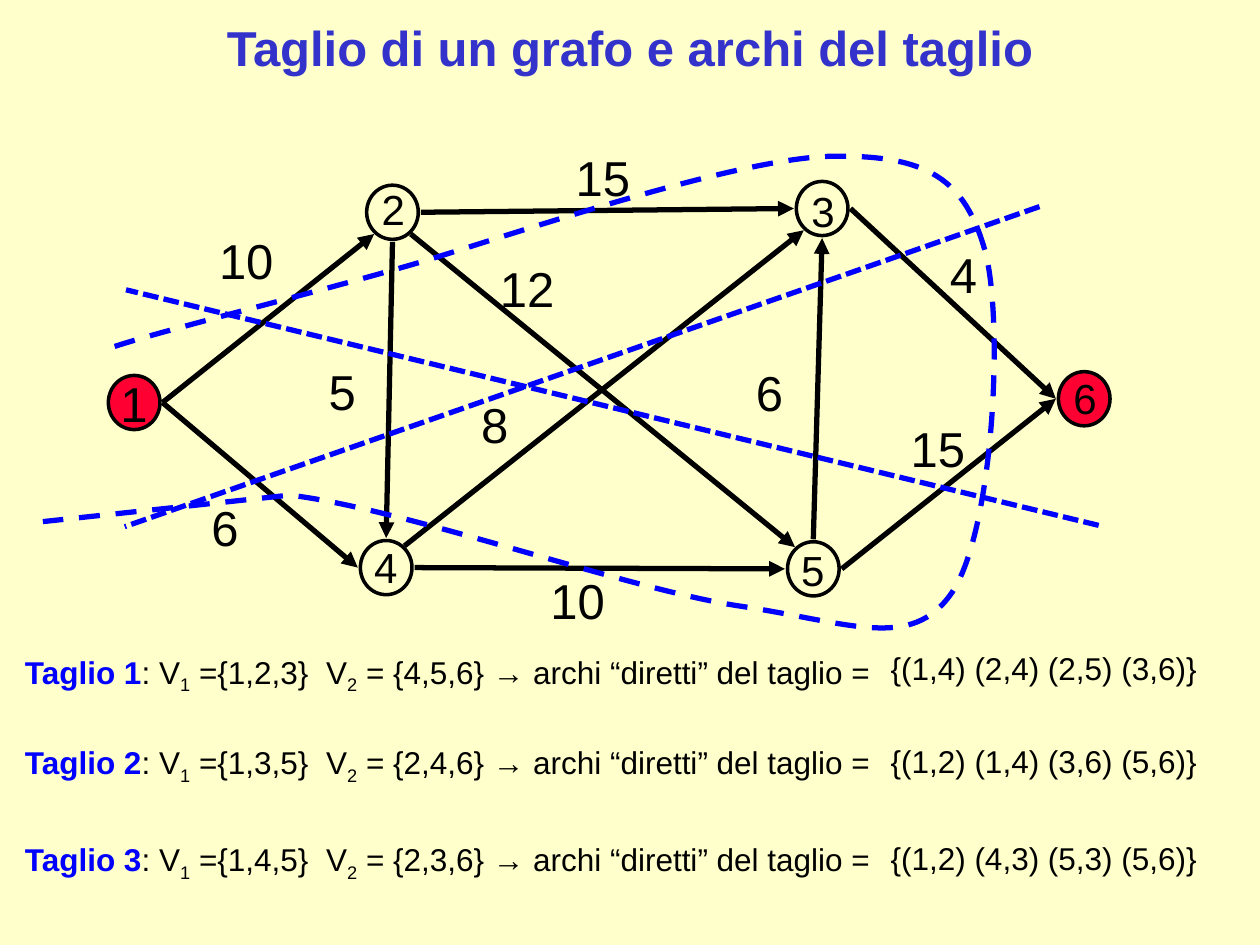
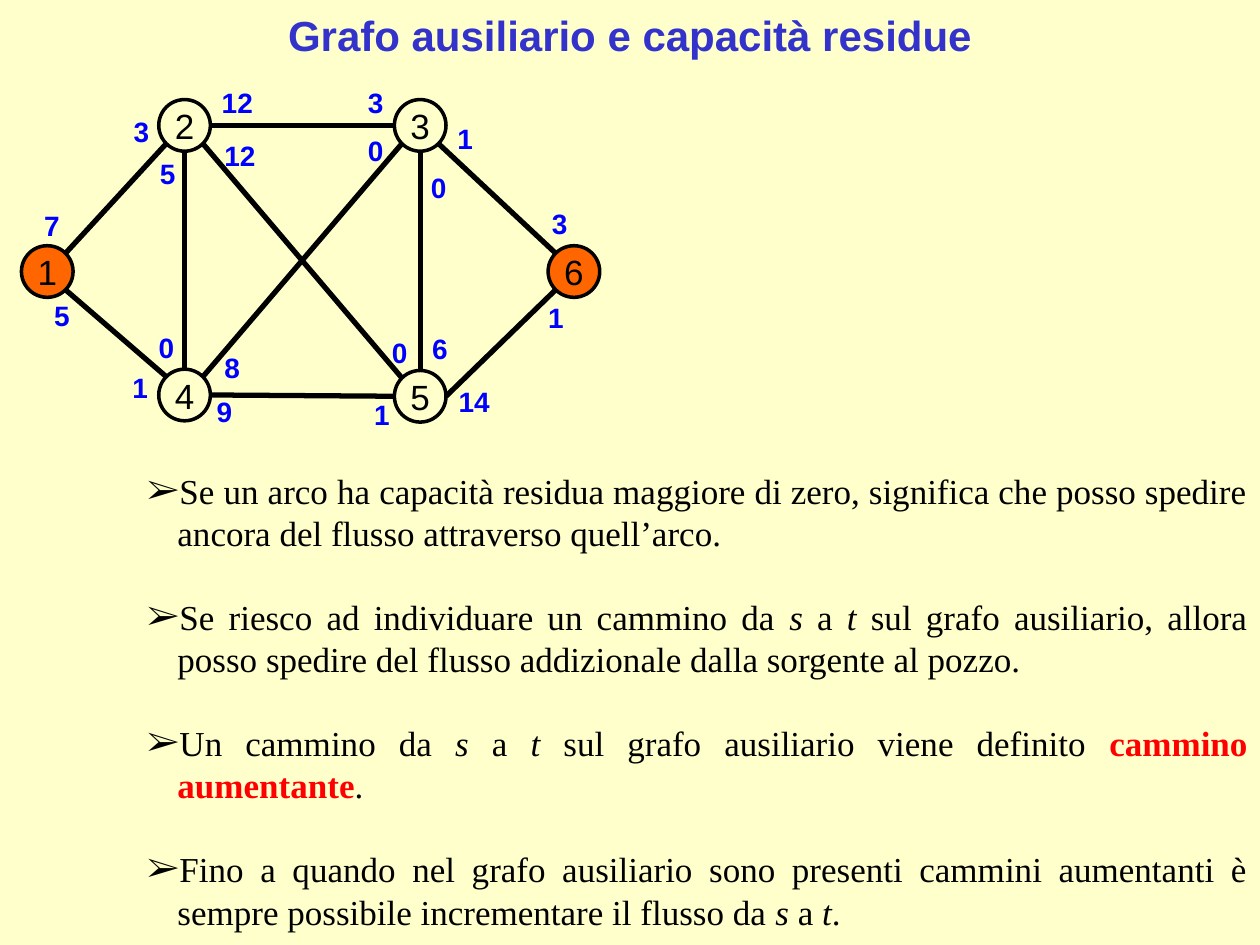
from dataclasses import dataclass
from typing import NamedTuple

from lxml import etree
from pptx import Presentation
from pptx.dml.color import RGBColor
from pptx.enum.dml import MSO_LINE
from pptx.enum.shapes import MSO_CONNECTOR, MSO_SHAPE
from pptx.enum.text import MSO_ANCHOR, PP_ALIGN
from pptx.oxml.ns import qn
from pptx.util import Inches, Pt

OVAL, STRAIGHT = MSO_SHAPE.OVAL, MSO_CONNECTOR.STRAIGHT
DASH, SHORT = MSO_LINE.DASH, MSO_LINE.SQUARE_DOT
LEFT, CENTER, JUSTIFY = PP_ALIGN.LEFT, PP_ALIGN.CENTER, PP_ALIGN.JUSTIFY
TOP, MIDDLE = MSO_ANCHOR.TOP, MSO_ANCHOR.MIDDLE

PAPER, INK, BLUE, TITLE = "FFFFCC", "000000", "0000FF", "3333CC"
CRIMSON, ORANGE, RED = "FF0033", "FF6600", "FF0000"
SANS, SERIF = "Arial", "Times New Roman"
WIDE = (0.1, 0.05)
SLIM = (0.04, 0.04)
FLAT = (0.04, 0)
# Unit direction of each compass point on a node's rim
DIAG = 0.71
RIM = {"N": (0, -1), "S": (0, 1), "E": (1, 0), "W": (-1, 0),
       "NE": (DIAG, -DIAG), "NW": (-DIAG, -DIAG),
       "SE": (DIAG, DIAG), "SW": (-DIAG, DIAG)}


class Box(NamedTuple):
    left: float
    top: float
    width: float
    height: float


class Run(NamedTuple):
    text: str
    bold: bool = False
    italic: bool = False
    color: str = ""
    base: int = 0


@dataclass
class Node:
    name: str
    box: Box
    fill: str = ""
    size: int = 20  # zero leaves the disc without text

    def port(self, side: str, gap: float) -> tuple[float, float]:
        """Point on the rim at a compass side, a gap above, below or beside."""
        x, y = RIM[side]
        left, top, width, height = self.box
        push = (y > 0) - (y < 0)
        return (left + width / 2 + x * (width / 2 + (0 if y else gap)),
                top + height / 2 + y * height / 2 + push * gap)


class Label(NamedTuple):
    text: str
    left: float
    top: float


@dataclass
class Cut:
    near: str
    far: str
    arcs: str
    top: float
    arctop: float


def paint(target, color: str) -> None:
    target.solid()
    target.fore_color.rgb = RGBColor.from_string(color)


def child(parent, tag: str, **attrs: str):
    return etree.SubElement(parent, qn(tag), attrs)


def write(frame, paras, *, size=20, font=SANS, color=INK, bold=False,
          align=LEFT, anchor=TOP, inset=WIDE, wrap=False, tab=0.0,
          bullet="", hang=(0.0, 0.0), pitch=0, before=0) -> None:
    """Fill a text frame; each paragraph is a string or a list of runs."""
    frame.word_wrap, frame.vertical_anchor = wrap, anchor
    frame.margin_left = frame.margin_right = Inches(inset[0])
    frame.margin_top = frame.margin_bottom = Inches(inset[1])
    for i, runs in enumerate([paras] if isinstance(paras, str) else paras):
        para = frame.add_paragraph() if i else frame.paragraphs[0]
        para.alignment = align
        if pitch:
            para.line_spacing = Pt(pitch)
        if before and i:
            para.space_before = Pt(before)
        props = para._p.get_or_add_pPr()
        if bullet:
            props.set("marL", str(Inches(hang[0])))
            props.set("indent", str(Inches(hang[1])))
            child(props, "a:buFont", typeface=font)
            child(props, "a:buChar", char=bullet)
        if tab:
            stops = child(props, "a:tabLst")
            child(stops, "a:tab", pos=str(Inches(tab)), algn="l")
        for item in [Run(runs)] if isinstance(runs, str) else runs:
            run = para.add_run()
            run.text = item.text
            run.font.name, run.font.size = font, Pt(size)
            run.font.bold = bold or item.bold
            run.font.italic = item.italic
            paint(run.font.fill, item.color or color)
            if item.base:
                run._r.get_or_add_rPr().set("baseline", str(item.base))


def put(slide, paras, box: Box, **form) -> None:
    area = slide.shapes.add_textbox(*map(Inches, box))
    write(area.text_frame, paras, **form)


def line(slide, start, end, color=INK, dash=None, arrow=False) -> None:
    link = slide.shapes.add_connector(STRAIGHT, *map(Inches, (*start, *end)))
    paint(link.line.fill, color)
    link.line.width = Pt(3)
    if dash:
        link.line.dash_style = dash
    if arrow:
        child(link.line._get_or_add_ln(), "a:tailEnd", type="triangle")
    child(link._element.spPr, "a:effectLst")


def graph(slide, nodes: list[Node], edges: str, gap=0.0, arrow=False) -> None:
    """Draw nodes, then edges such as '1E-2SW' between their rim points."""
    for node in nodes:
        disc = slide.shapes.add_shape(OVAL, *map(Inches, node.box))
        disc.shadow.inherit = False
        if node.fill:
            paint(disc.fill, node.fill)
        else:
            disc.fill.background()
        paint(disc.line.fill, INK)
        disc.line.width = Pt(2)
        if node.size:
            write(disc.text_frame, node.name, size=node.size, align=CENTER,
                  anchor=MIDDLE, inset=SLIM)
    named = {node.name: node for node in nodes}
    for edge in edges.split():
        ends = [named[e[0]].port(e[1:], gap) for e in edge.split("-")]
        line(slide, *ends, arrow=arrow)


def curve(slide, start, bends, last, width: float, height: float) -> None:
    """Dashed outline through cubic bends, ending with a straight run."""
    knots = [start, *(bend[-1] for bend in bends), last]
    spots = [tuple(map(Inches, knot)) for knot in knots]
    pen = slide.shapes.build_freeform(*spots[0], scale=1.0)
    pen.add_line_segments(spots[1:], close=False)
    shape = pen.convert_to_shape()
    # Turn each straight step but the last into a cubic one
    track = next(shape._element.iter(qn("a:path")))
    for step, bend in zip(list(track.iter(qn("a:lnTo"))), bends):
        cubic = etree.Element(qn("a:cubicBezTo"))
        for x, y in bend:
            child(cubic, "a:pt", x=str(Inches(x) - shape.left),
                  y=str(Inches(y) - shape.top))
        track.replace(step, cubic)
    # Widen the frame to hold the bulges
    shape.width, shape.height = Inches(width), Inches(height)
    track.set("w", str(shape.width))
    track.set("h", str(shape.height))
    shape.shadow.inherit = False
    shape.fill.background()
    paint(shape.line.fill, BLUE)
    shape.line.width, shape.line.dash_style = Pt(3), DASH


def page(deck, title: str, size: int, box: Box):
    slide = deck.slides.add_slide(deck.slide_layouts[6])
    paint(slide.background.fill, PAPER)
    put(slide, title, box, size=size, color=TITLE, bold=True, align=CENTER,
        anchor=MIDDLE, inset=SLIM, wrap=True)
    return slide


def cuts(deck) -> None:
    slide = page(deck, "Taglio di un grafo e archi del taglio", 28,
                 Box(0.06, 0.03, 9.88, 0.69))
    spots = [(0.86, 2.98, CRIMSON, 28), (2.91, 1.47, "", 0),
             (6.32, 1.44, "", 0), (2.86, 4.29, "", 0),
             (6.25, 4.3, "", 0), (8.4, 2.95, CRIMSON, 0)]
    nodes = [Node(str(i), Box(x, y, 0.41, 0.43), fill, size)
             for i, (x, y, fill, size) in enumerate(spots, 1)]
    graph(slide, nodes, "1E-2SW 1E-4W 2E-3W 4E-5W 5E-6W 3E-6W "
          "2SE-5NW 4NE-3SW 2S-4N 5N-3S", gap=0.02, arrow=True)

    # Arc capacities
    for text, left, top in [
            Label("10", 1.64, 1.78), Label("15", 4.47, 1.12),
            Label("4", 7.44, 1.89), Label("15", 7.13, 3.27),
            Label("6", 5.9, 2.83), Label("8", 3.72, 3.08),
            Label("12", 3.87, 2), Label("5", 2.51, 2.82),
            Label("6", 1.58, 3.9), Label("10", 4.27, 4.48)]:
        put(slide, text, Box(left, top, 0.2 + 0.22 * len(text), 0.57), size=28)

    # Node numbers
    for text, left, top in [
            Label("2", 2.93, 1.41), Label("3", 6.34, 1.42),
            Label("4", 2.87, 4.25), Label("5", 6.26, 4.27),
            Label("6", 8.42, 2.91)]:
        put(slide, text, Box(left, top, 0.39, 0.5), size=24)

    # Cut lines
    line(slide, (8.25, 1.64), (0.99, 4.18), BLUE, SHORT)
    line(slide, (8.72, 4.17), (1, 2.3), BLUE, SHORT)
    curve(slide, (0.91, 2.75), [
        ((1.3, 2.62), (2.52, 2.32), (3.34, 2.08)),
        ((4.16, 1.83), (5.87, 1.25), (6.61, 1.24)),
        ((7.36, 1.23), (7.66, 1.42), (7.82, 2)),
        ((7.97, 2.58), (7.88, 4.24), (7.55, 4.71)),
        ((7.23, 5.17), (6.74, 4.94), (5.87, 4.81)),
        ((4.99, 4.68), (3.22, 4.04), (2.3, 3.93))], (0.34, 4.14), 7.55, 3.74)

    # Cut sets and their direct arcs
    rows = [Cut("1,2,3", "4,5,6", "(1,4) (2,4) (2,5) (3,6)", 5.13, 5.1),
            Cut("1,3,5", "2,4,6", "(1,2) (1,4) (3,6) (5,6)", 5.85, 5.84),
            Cut("1,4,5", "2,3,6", "(1,2) (4,3) (5,3) (5,6)", 6.62, 6.61)]
    for i, cut in enumerate(rows, 1):
        runs = [Run(f"Taglio {i}", bold=True, color=BLUE), Run(": V"),
                Run("1", base=-25000), Run(f" ={{{cut.near}}}\tV"),
                Run("2", base=-25000),
                Run(f" = {{{cut.far}}} → archi “diretti” del taglio =")]
        put(slide, [runs], Box(0.1, cut.top, 7.06, 0.4), size=18, wrap=True,
            tab=2.39)
        put(slide, f"{{{cut.arcs}}}", Box(6.97, cut.arctop, 2.66, 0.4), size=18)


def residue(deck) -> None:
    slide = page(deck, "Grafo ausiliario e capacità residue", 24,
                 Box(0.06, 0.02, 9.88, 0.51))
    spots = [(0.17, 1.95, ORANGE), (1.26, 0.79, ""), (3.13, 0.79, ""),
             (1.26, 2.93, ""), (3.13, 2.94, ""), (4.35, 1.95, ORANGE)]
    nodes = [Node(str(i), Box(x, y, 0.41, 0.41), fill)
             for i, (x, y, fill) in enumerate(spots, 1)]
    graph(slide, nodes, "1NE-2SW 1SE-4NW 4E-5W 2SE-5NW 3SE-6NW 5N-3S "
          "6SW-5E 2E-3W 4NE-3SW 2S-4N")

    # Residual capacities
    for text, left, top in [
            Label("7", 0.31, 1.65), Label("5", 0.39, 2.37),
            Label("9", 1.68, 3.13), Label("8", 1.74, 2.78),
            Label("1", 3.59, 0.96), Label("14", 3.6, 3.05),
            Label("1", 4.31, 2.38), Label("12", 1.72, 0.68),
            Label("3", 2.88, 0.68), Label("6", 3.39, 2.63),
            Label("0", 3.38, 1.35), Label("3", 4.34, 1.64),
            Label("1", 1.01, 2.94), Label("3", 1.02, 0.91),
            Label("0", 2.88, 1.06), Label("0", 3.07, 2.66),
            Label("1", 2.93, 3.15), Label("12", 1.74, 1.1),
            Label("5", 1.23, 1.24), Label("0", 1.22, 2.62)]:
        put(slide, text, Box(left, top, 0.07 + 0.13 * len(text), 0.27),
            size=16, color=BLUE, bold=True, anchor=MIDDLE, inset=FLAT)

    # Remarks on augmenting paths
    trip = [Run("s", italic=True), Run(" a "), Run("t", italic=True)]
    put(slide, [
        "Se un arco ha capacità residua maggiore di zero, significa che posso "
        "spedire ancora del flusso attraverso quell’arco.",
        [Run("Se riesco ad individuare un cammino da "), *trip,
         Run(" sul grafo ausiliario, allora posso spedire del flusso "
             "addizionale dalla sorgente al pozzo.")],
        [Run("Un cammino da "), *trip,
         Run(" sul grafo ausiliario viene definito "),
         Run("cammino aumentante", bold=True, color=RED), Run(".")],
        [Run("Fino a quando nel grafo ausiliario sono presenti cammini "
             "aumentanti è sempre possibile incrementare il flusso da "),
         *trip, Run(".")],
    ], Box(0.07, 3.68, 9.93, 3.77), font=SERIF, align=JUSTIFY, wrap=True,
        bullet="➢", hang=(1.24, -0.24), pitch=24, before=24)


def main() -> None:
    deck = Presentation()
    deck.slide_width, deck.slide_height = Inches(10), Inches(7.5)
    cuts(deck)
    residue(deck)
    deck.save("out.pptx")


if __name__ == "__main__":
    main()
